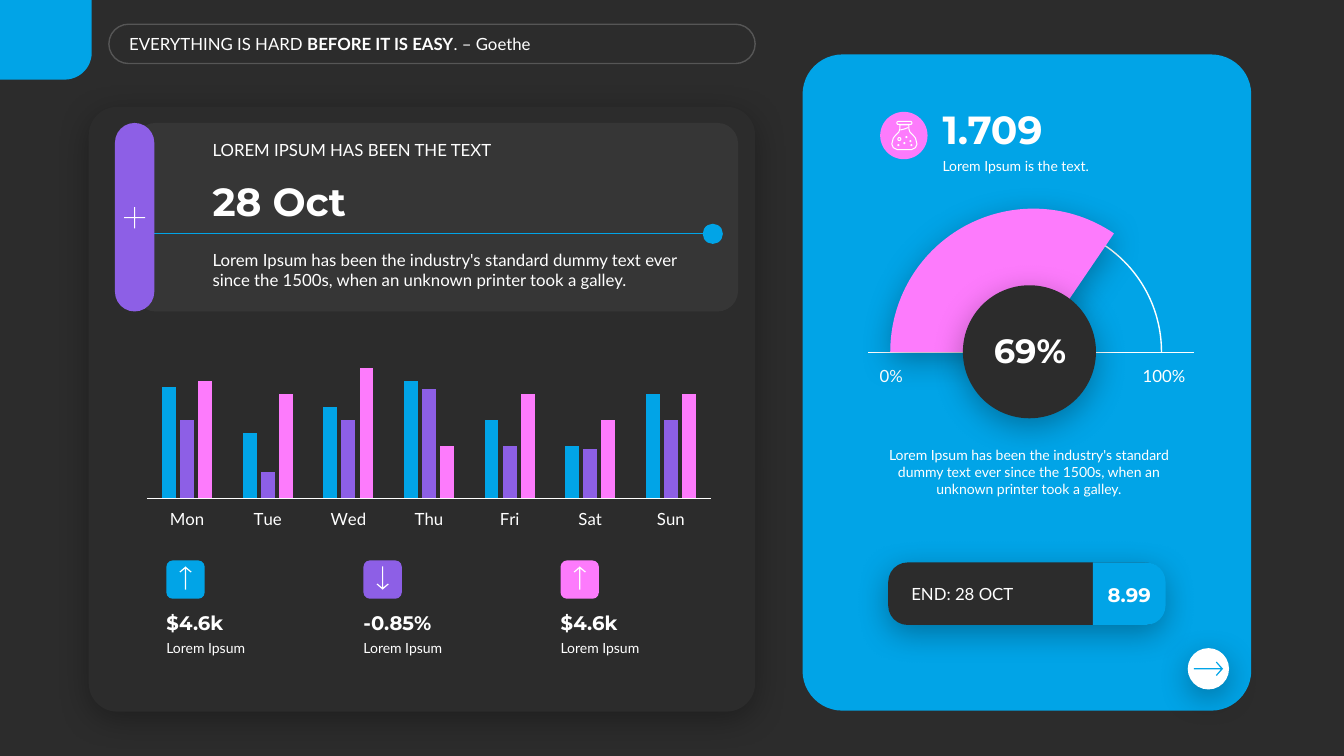
from dataclasses import dataclass
from typing import NamedTuple

from lxml import etree
from pptx import Presentation
from pptx.chart.data import CategoryChartData
from pptx.dml.color import RGBColor
from pptx.enum.chart import XL_CHART_TYPE, XL_TICK_LABEL_POSITION, XL_TICK_MARK
from pptx.enum.shapes import MSO_CONNECTOR, MSO_SHAPE
from pptx.enum.text import MSO_ANCHOR, MSO_AUTO_SIZE, PP_ALIGN
from pptx.oxml.ns import qn
from pptx.util import Inches, Pt

ROUNDED, OVAL, ARC = MSO_SHAPE.ROUNDED_RECTANGLE, MSO_SHAPE.OVAL, MSO_SHAPE.ARC
ONE_ROUND, TWO_ROUND = MSO_SHAPE.ROUND_1_RECTANGLE, MSO_SHAPE.ROUND_2_SAME_RECTANGLE
TOP, MIDDLE, BOTTOM = MSO_ANCHOR.TOP, MSO_ANCHOR.MIDDLE, MSO_ANCHOR.BOTTOM
LEFT, CENTER = PP_ALIGN.LEFT, PP_ALIGN.CENTER
DARK, WHITE, BLUE, PURPLE, PINK = "2C2C2C", "FFFFFF", "01A4E7", "8D5FE6", "FD7BFC"
BODY_FONT, NUMBER_FONT = "Lato", "Montserrat"
LOREM = ("Lorem Ipsum has been the industry's standard dummy text ever "
         "since the 1500s, when an unknown printer took a galley.")


class Box(NamedTuple):
    left: float
    top: float
    width: float
    height: float


class Metric(NamedTuple):
    color: str
    value: str
    direction: str


@dataclass
class Label:
    text: str
    box: Box
    size: float = 12
    number: bool = False
    anchor: MSO_ANCHOR = TOP
    align: PP_ALIGN = LEFT
    inset: float = 0.1


METRICS = [Metric(BLUE, "$4.6k", "up"), Metric(PURPLE, "-0.85%", "down"),
           Metric(PINK, "$4.6k", "up")]
DAYS = ["Mon", "Tue", "Wed", "Thu", "Fri", "Sat", "Sun"]
SERIES = [(BLUE, [86, 50, 70, 90, 60, 40, 80]),
          (PURPLE, [60, 20, 60, 84, 40, 38, 60]),
          (PINK, [90, 80, 100, 40, 80, 60, 80])]
# Bubbles in the flask: centre x, centre y, radius
BUBBLES = [(8.91, 1.44, 0.01), (8.99, 1.36, 0.01), (8.97, 1.42, 0.01),
           (9.04, 1.44, 0.01), (9.03, 1.4, 0.01)]

presentation = Presentation()
presentation.slide_width, presentation.slide_height = Inches(13.33), Inches(7.5)
slide = presentation.slides.add_slide(presentation.slide_layouts[5])


def rgb(color: str) -> RGBColor:
    return RGBColor.from_string(color)


def style(shape, fill=None, line=None, width=1.0, opacity=100, shadow=False) -> None:
    shape.shadow.inherit = False
    if fill:
        shape.fill.solid()
        shape.fill.fore_color.rgb = rgb(fill)
    else:
        shape.fill.background()
    if line:
        shape.line.color.rgb = rgb(line)
        shape.line.width = Pt(width)
    else:
        shape.line.fill.background()
    properties = shape._element.spPr
    if opacity < 100:
        for color in properties.iter(qn("a:srgbClr")):
            etree.SubElement(color, qn("a:alpha"), val=str(opacity * 1000))
    if shadow:
        outer = etree.SubElement(properties.find(qn("a:effectLst")), qn("a:outerShdw"),
                                 blurRad=str(Pt(23)), dist=str(Pt(6)), dir="5400000",
                                 algn="t", rotWithShape="0")
        color = etree.SubElement(outer, qn("a:srgbClr"), val="000000")
        etree.SubElement(color, qn("a:alpha"), val="30000")


def add_shape(kind: MSO_SHAPE, box: Box, adjustments=(), quarter_turn=False, **look) -> None:
    left, top, width, height = box
    if quarter_turn:
        left, top = left + (width - height) / 2, top + (height - width) / 2
        width, height = height, width
    shape = slide.shapes.add_shape(kind, *map(Inches, (left, top, width, height)))
    for index, value in enumerate(adjustments):
        shape.adjustments[index] = value
    shape.rotation = 90 if quarter_turn else 0
    style(shape, **look)


def add_circle(x: float, y: float, radius: float, **look) -> None:
    add_shape(OVAL, Box(x - radius, y - radius, 2 * radius, 2 * radius), **look)


def add_outline(points: list, closed=True, **look) -> None:
    scaled = [(Inches(x), Inches(y)) for x, y in points]
    builder = slide.shapes.build_freeform(*scaled[0])
    builder.add_line_segments(scaled[1:], close=closed)
    style(builder.convert_to_shape(), **look)


def add_line(x1: float, x2: float, y: float, color: str, width: float) -> None:
    line = slide.shapes.add_connector(MSO_CONNECTOR.STRAIGHT, *map(Inches, (x1, y, x2, y)))
    line.line.color.rgb = rgb(color)
    line.line.width = Pt(width)
    etree.SubElement(line._element.spPr, qn("a:effectLst"))


def add_arrow(x: float, y: float, length: float, head: float, direction: str, color: str) -> None:
    """Thin arrow centred on x, y; head is half the width of its tip."""
    stem, bend = 0.006, 0.016
    tip, tail = -length / 2, length / 2
    right = [(stem, tail), (stem, tip + bend + stem), (head - bend / 2, tip + head),
             (head, tip + head - bend / 2)]
    points = right + [(0, tip)] + [(-dx, dy) for dx, dy in reversed(right)]
    turn = {"up": lambda dx, dy: (x + dx, y + dy), "down": lambda dx, dy: (x + dx, y - dy),
            "right": lambda dx, dy: (x - dy, y + dx)}[direction]
    add_outline([turn(dx, dy) for dx, dy in points], fill=color)


def add_run(paragraph, text: str, size: float, font: str, bold: bool) -> None:
    run = paragraph.add_run()
    run.text = text
    run.font.size, run.font.name, run.font.bold = Pt(size), font, bold
    run.font.color.rgb = rgb(WHITE)


def prepare_frame(frame, anchor: MSO_ANCHOR, align: PP_ALIGN, inset: float):
    frame.word_wrap, frame.auto_size = True, MSO_AUTO_SIZE.NONE
    frame.vertical_anchor = anchor
    frame.margin_left = frame.margin_right = Inches(inset)
    frame.margin_top = frame.margin_bottom = Inches(0.05)
    frame.paragraphs[0].alignment = align
    return frame.paragraphs[0]


def add_label(label: Label) -> None:
    frame = slide.shapes.add_textbox(*map(Inches, label.box)).text_frame
    paragraph = prepare_frame(frame, label.anchor, label.align, label.inset)
    add_run(paragraph, label.text, label.size,
            NUMBER_FONT if label.number else BODY_FONT, label.number)


def add_week_chart(box: Box) -> None:
    data = CategoryChartData()
    data.categories = DAYS
    for number, (_, values) in enumerate(SERIES, 1):
        data.add_series(f"Series {number}", values)
    chart = slide.shapes.add_chart(XL_CHART_TYPE.COLUMN_CLUSTERED, *map(Inches, box), data).chart
    chart.has_legend = chart.has_title = False
    chart.font.size, chart.font.name = Pt(12), BODY_FONT
    chart.font.color.rgb = rgb(WHITE)
    plot = chart.plots[0]
    plot.gap_width, plot.overlap, plot.vary_by_categories = 220, -30, False
    for series, (color, _) in zip(plot.series, SERIES):
        series.format.fill.solid()
        series.format.fill.fore_color.rgb = rgb(color)
    days, values = chart.category_axis, chart.value_axis
    days.major_tick_mark = XL_TICK_MARK.NONE
    days.tick_label_position = XL_TICK_LABEL_POSITION.LOW
    days.format.line.color.rgb = rgb(WHITE)
    values.minimum_scale, values.maximum_scale = 0, 120
    values.has_major_gridlines = values.visible = False


# Background, title and corner
slide.background.fill.solid()
slide.background.fill.fore_color.rgb = rgb(DARK)
title = slide.shapes.title
title.left, title.top, title.width, title.height = map(Inches, (1.24, 0.28, 6.08, 0.3))
quote = prepare_frame(title.text_frame, MIDDLE, LEFT, 0.04)
for text, bold in [("EVERYTHING IS HARD ", False), ("BEFORE IT IS EASY", True), (". – Goethe", False)]:
    add_run(quote, text, 12, BODY_FONT, bold)
add_shape(ROUNDED, Box(0.88, 1.06, 6.61, 6), [0.047], fill=DARK, shadow=True)
add_shape(ROUNDED, Box(1.08, 0.24, 6.41, 0.39), [0.5], line=WHITE, opacity=20)
add_shape(ONE_ROUND, Box(0, 0, 0.91, 0.79), [0.34], quarter_turn=True, fill=BLUE)

# Date panel
add_shape(ROUNDED, Box(1.34, 1.22, 5.98, 1.87), [0.109], fill=WHITE, opacity=5)
add_label(Label(LOREM, Box(2.01, 2.43, 5.1, 0.5)))
add_label(Label("28 Oct", Box(2.01, 1.71, 5.1, 0.57), 28, True, BOTTOM))
add_label(Label("LOREM IPSUM HAS BEEN THE TEXT", Box(2.01, 1.34, 5.1, 0.3), anchor=BOTTOM))
add_line(1.44, 6.97, 2.32, BLUE, 0.5)
add_circle(7.07, 2.32, 0.1, fill=BLUE)
add_shape(ROUNDED, Box(1.14, 1.22, 0.39, 1.87), [0.5], fill=PURPLE)
arm, half = 0.105, 0.005
plus = [(half, arm), (half, half), (arm, half), (arm, -half), (half, -half), (half, -arm)]
plus += [(-dx, -dy) for dx, dy in plus]
add_outline([(1.335 + dx, 2.16 + dy) for dx, dy in plus], fill=WHITE)

# Week chart and metrics
add_week_chart(Box(1.34, 3.36, 5.83, 1.92))
for column, metric in enumerate(METRICS):
    x = 1.65 + 1.955 * column
    add_shape(ROUNDED, Box(x, 5.56, 0.38, 0.38), fill=metric.color)
    add_arrow(x + 0.19, 5.735, 0.23, 0.06, metric.direction, WHITE)
    add_label(Label("Lorem Ipsum", Box(x, 6.3, 1.41, 0.27), 10, inset=0))
    add_label(Label(metric.value, Box(x, 6, 1.41, 0.34), 14, True, BOTTOM, inset=0))

# Blue card heading with flask
add_shape(ROUNDED, Box(7.96, 0.54, 4.45, 6.51), [0.089], fill=BLUE)
add_label(Label("Lorem Ipsum is the text.", Box(9.25, 1.51, 2.73, 0.27), 10))
add_label(Label("1.709", Box(9.25, 0.99, 2.73, 0.57), 28, True, BOTTOM))
add_circle(8.965, 1.345, 0.235, fill=PINK)
flask_x = 8.97
flask = [(-0.045, 1.24), (-0.045, 1.28), (-0.055, 1.31), (-0.085, 1.34), (-0.11, 1.37),
         (-0.125, 1.43), (-0.11, 1.465), (-0.07, 1.485)]
flask += [(-dx, y) for dx, y in reversed(flask)]
add_outline([(flask_x + dx, y) for dx, y in flask], line=WHITE, width=0.75)
add_shape(ROUNDED, Box(8.895, 1.205, 0.15, 0.03), [0.5], line=WHITE, width=0.75)
add_outline([(8.93, 1.29), (8.97, 1.28), (9.01, 1.265)], closed=False, line=WHITE, width=0.75)
add_circle(8.92, 1.38, 0.015, line=WHITE, width=0.75)
for bubble in BUBBLES:
    add_circle(*bubble, fill=WHITE)

# Gauge: arc angles are in sixtieths of the adjustment unit
add_shape(ARC, Box(8.98, 2.22, 2.54, 2.54), [107.892, 0], line=WHITE)
add_line(8.61, 11.84, 3.5, WHITE, 1)
for text, x, width in [("0%", 8.68, 0.32), ("100%", 11.25, 0.59)]:
    add_label(Label(text, Box(x, 3.59, width, 0.28), 12, False, MIDDLE, CENTER, 0))
add_shape(ARC, Box(8.83, 2.07, 2.84, 2.84), [107.892, 182.544], fill=PINK, shadow=True)
add_label(Label(LOREM, Box(8.54, 4.38, 3.33, 0.61), 10, align=CENTER))
add_circle(10.21, 3.49, 0.66, fill=DARK, shadow=True)
add_label(Label("69%", Box(9.47, 3.22, 1.49, 0.5), 24, True, MIDDLE, CENTER))

# Next button and price tag
add_circle(11.985, 6.635, 0.205, fill=WHITE, shadow=True)
add_arrow(11.985, 6.635, 0.29, 0.07, "right", BLUE)
add_shape(ROUNDED, Box(8.81, 5.58, 2.74, 0.62), [0.311], fill=DARK, shadow=True)
add_label(Label("END: 28 OCT", Box(8.94, 5.74, 1.96, 0.3), anchor=MIDDLE))
add_shape(TWO_ROUND, Box(10.84, 5.58, 0.72, 0.62), [0.31, 0], quarter_turn=True, fill=BLUE)
add_label(Label("8.99", Box(10.84, 5.73, 0.72, 0.34), 14, True, MIDDLE, CENTER, 0.04))

presentation.save("out.pptx")
